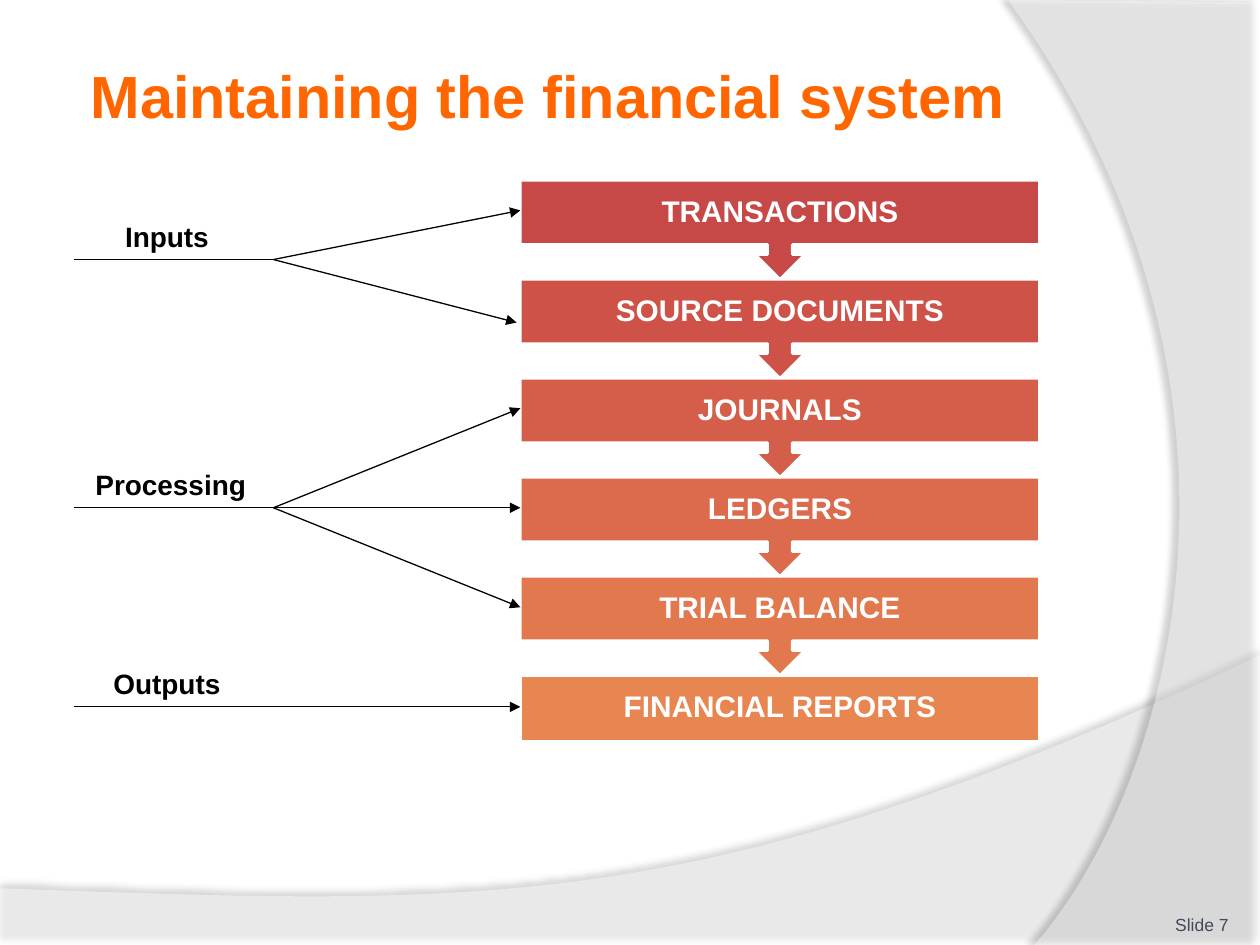
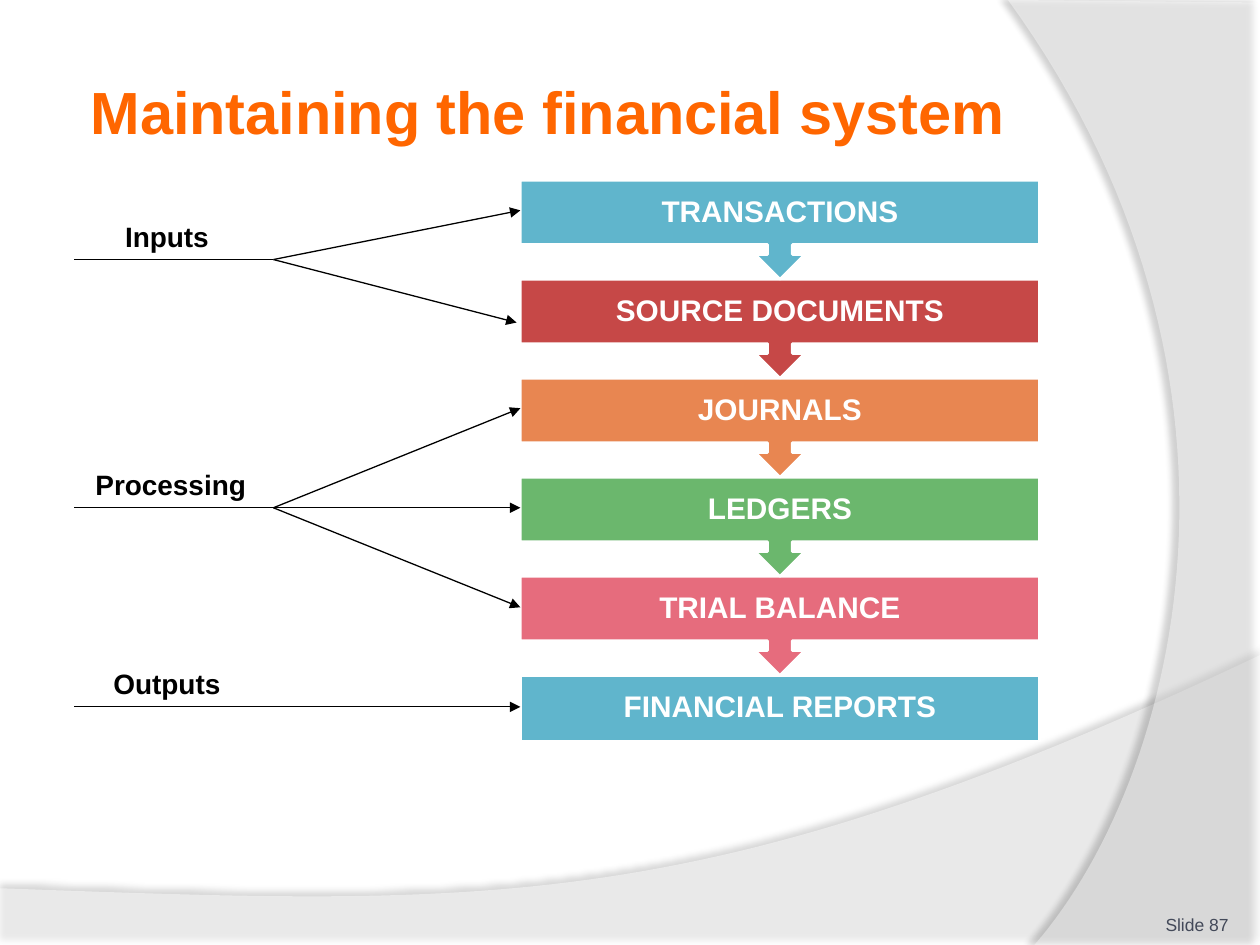
from dataclasses import dataclass

from lxml.etree import SubElement
from pptx import Presentation
from pptx.dml.color import RGBColor
from pptx.enum.shapes import MSO_CONNECTOR, MSO_SHAPE
from pptx.enum.text import MSO_ANCHOR, PP_ALIGN
from pptx.oxml.ns import qn
from pptx.util import Inches, Pt


@dataclass(frozen=True)
class Theme:
    font: str = "Arial"
    white: str = "FFFFFF"
    black: str = "000000"
    title: str = "FF6600"
    footer: str = "434959"
    reds: tuple = ("C64847", "CE5248", "D55E4A", "DC6A4C", "E2784E", "E88651")
    accents: tuple = ("60B5CC", "C64847", "E88651", "6BB76D", "E66C7D", "60B5CC")
    title_size: int = 34
    step_size: int = 17
    label_size: int = 16
    footer_size: int = 10
    line_width: float = 0.75
    outline_width: float = 1.5


STEPS = ("TRANSACTIONS", "SOURCE DOCUMENTS", "JOURNALS", "LEDGERS",
         "TRIAL BALANCE", "FINANCIAL REPORTS")
STEP_LEFT, STEP_WIDTH, STEP_HEIGHT = 4.13, 4.12, 0.52
FIRST_TOP, LAST_TOP = 1.43, 5.36
STEP_PITCH = (LAST_TOP - FIRST_TOP) / (len(STEPS) - 1)

# Stage name, label left, underline height, arrow tips
STAGES = (
    ("Inputs", 0.2, 2.06, ((4.13, 1.67), (4.1, 2.56))),
    ("Processing", 0.23, 4.03, ((4.13, 3.24), (4.13, 4.03), (4.13, 4.82))),
    ("Outputs", 0.2, 5.61, ((4.13, 5.61),)),
)
STAGE_LEFT, STAGE_RIGHT = 0.59, 2.17
LABEL_WIDTH, LABEL_HEIGHT = 2.25, 0.37


def curve(start, control_one, control_two, end, segments=60):
    """Points along a cubic Bezier curve, both ends included."""
    points = []
    for index in range(segments + 1):
        t = index / segments
        weights = ((1 - t) ** 3, 3 * t * (1 - t) ** 2, 3 * t * t * (1 - t), t ** 3)
        corners = (start, control_one, control_two, end)
        points.append(tuple(sum(w * corner[axis] for w, corner in zip(weights, corners))
                            for axis in (0, 1)))
    return points


LOWER_BAND = [(0, 7.5), (10, 7.5)] + curve((10, 5.2), (5.59, 7.29), (3.91, 7.19), (0, 7.05))
RIGHT_BAND = [(10, 0.02), (10, 7.5)] + curve((8.21, 7.5), (9.35, 6.19), (10.18, 3), (8, 0))


class SlideBuilder:
    def __init__(self, deck, theme):
        self.deck = deck
        self.theme = theme
        self.page = None

    def new_page(self, number):
        self.page = self.deck.slides.add_slide(self.deck.slide_layouts[6])
        self.band(LOWER_BAND, opacity=45, shadow=35, distance=3.5, direction=270)
        self.band(RIGHT_BAND, opacity=40, shadow=45, distance=4, direction=180)
        self.text(f"Slide {number}", (8.92, 7.02, 0.83, 0.4), self.theme.footer_size,
                  self.theme.footer, bold=False, align=PP_ALIGN.RIGHT,
                  anchor=MSO_ANCHOR.BOTTOM, inset=0)

    def band(self, points, opacity, shadow, distance, direction):
        """Translucent white area whose soft shadow shows through it."""
        corners = [(Inches(x), Inches(y)) for x, y in points]
        builder = self.page.shapes.build_freeform(*corners[0], scale=1.0)
        builder.add_line_segments(corners[1:], close=True)
        shape = builder.convert_to_shape()
        self.paint(shape, self.theme.white)
        shape.line.fill.background()
        properties = shape._element.spPr
        fill_colour = properties.find(qn("a:solidFill"))[0]
        SubElement(fill_colour, qn("a:alpha"), val=str(opacity * 1000))
        outer = SubElement(properties.find(qn("a:effectLst")), qn("a:outerShdw"),
                           blurRad=str(Pt(4)), dist=str(Pt(distance)),
                           dir=str(direction * 60000), algn="ctr", rotWithShape="0")
        colour = SubElement(outer, qn("a:srgbClr"), val=self.theme.black)
        SubElement(colour, qn("a:alpha"), val=str(shadow * 1000))

    def paint(self, shape, colour):
        shape.shadow.inherit = False
        shape.fill.solid()
        shape.fill.fore_color.rgb = RGBColor.from_string(colour)

    def text(self, words, place, size, colour, bold=True, align=PP_ALIGN.CENTER,
             anchor=MSO_ANCHOR.MIDDLE, inset=0.05, spacing=None):
        box = self.page.shapes.add_textbox(*map(Inches, place))
        frame = box.text_frame
        frame.word_wrap = True
        frame.vertical_anchor = anchor
        frame.margin_left = frame.margin_right = Inches(inset)
        frame.margin_top = frame.margin_bottom = Inches(inset)
        para = frame.paragraphs[0]
        para.alignment = align
        para.line_spacing = spacing
        span = para.add_run()
        span.text = words
        span.font.name = self.theme.font
        span.font.size = Pt(size)
        span.font.bold = bold
        span.font.color.rgb = RGBColor.from_string(colour)

    def title(self, words, top, height):
        self.text(words, (0.67, top, 8.17, height), self.theme.title_size,
                  self.theme.title, align=PP_ALIGN.LEFT)

    def line(self, start, end, arrow=False):
        connector = self.page.shapes.add_connector(
            MSO_CONNECTOR.STRAIGHT, *map(Inches, (*start, *end)))
        connector.line.color.rgb = RGBColor.from_string(self.theme.black)
        connector.line.width = Pt(self.theme.line_width)
        if arrow:
            SubElement(connector.line._get_or_add_ln(), qn("a:tailEnd"), type="triangle")
        SubElement(connector._element.spPr, qn("a:effectLst"))

    def step(self, words, top, colour, leads_on):
        """Process box; one that leads on has an arrow down to the next."""
        kind = MSO_SHAPE.UP_ARROW_CALLOUT if leads_on else MSO_SHAPE.RECTANGLE
        height = STEP_PITCH if leads_on else STEP_HEIGHT
        shape = self.page.shapes.add_shape(
            kind, *map(Inches, (STEP_LEFT, top, STEP_WIDTH, height)))
        shape.rotation = 180 if leads_on else 0
        self.paint(shape, colour)
        shape.line.color.rgb = RGBColor.from_string(self.theme.white)
        shape.line.width = Pt(self.theme.outline_width)
        self.text(words, (STEP_LEFT, top, STEP_WIDTH, STEP_HEIGHT),
                  self.theme.step_size, self.theme.white, inset=0.13, spacing=0.9)

    def flow(self, colours):
        """Stack the steps from the last up, so each arrow lies over the next box."""
        last = len(STEPS) - 1
        for index in range(last, -1, -1):
            self.step(STEPS[index], FIRST_TOP + index * STEP_PITCH, colours[index],
                      leads_on=index < last)

    def stage(self, name, left, height, tips):
        self.line((STAGE_LEFT, height), (STAGE_RIGHT, height))
        self.text(name, (left, height - LABEL_HEIGHT, LABEL_WIDTH, LABEL_HEIGHT),
                  self.theme.label_size, self.theme.black, anchor=MSO_ANCHOR.TOP)
        for tip in tips:
            self.line((STAGE_RIGHT, height), tip, arrow=True)


def main():
    deck = Presentation()
    deck.slide_width, deck.slide_height = Inches(10), Inches(7.5)
    theme = Theme()
    builder = SlideBuilder(deck, theme)
    for number, title_top, title_height, colours in (
            (7, 0.36, 0.79, theme.reds), (87, 0.44, 0.87, theme.accents)):
        builder.new_page(number)
        builder.title("Maintaining the financial system", title_top, title_height)
        builder.flow(colours)
        for stage in STAGES:
            builder.stage(*stage)
    deck.save("out.pptx")


if __name__ == "__main__":
    main()
